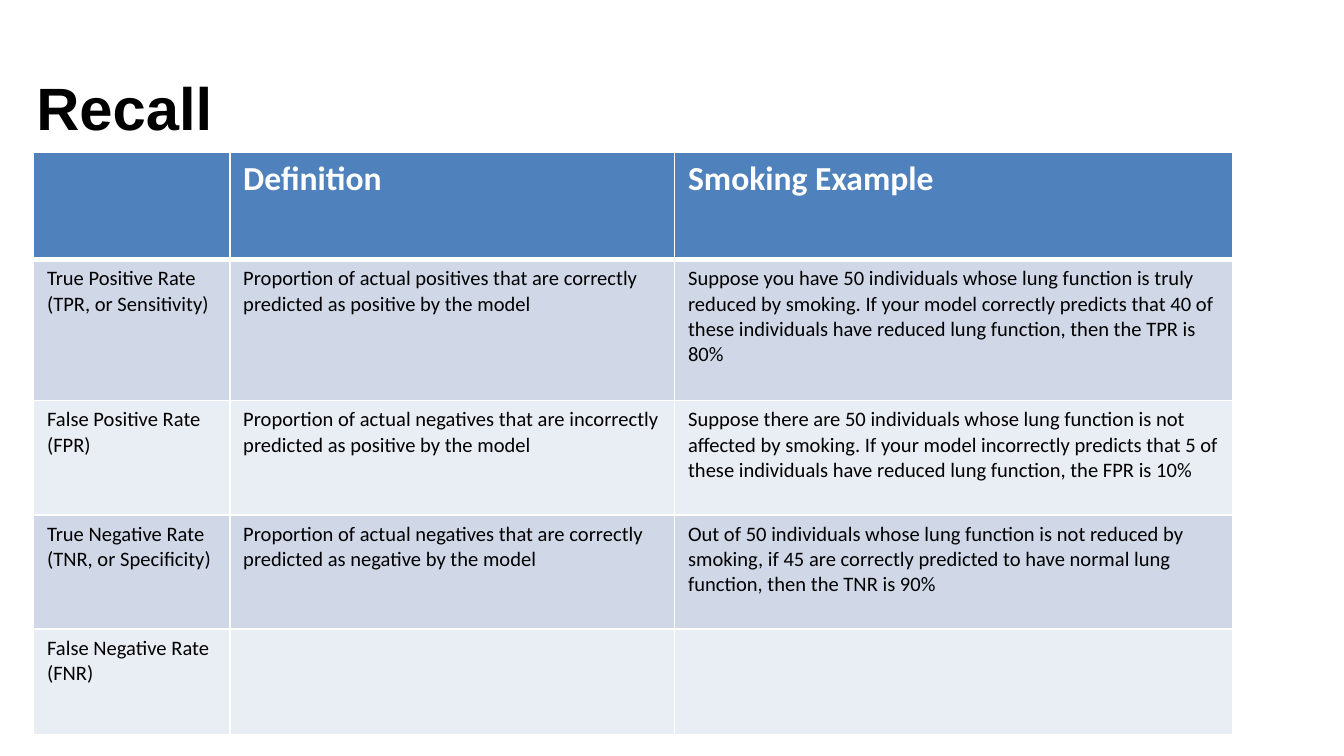
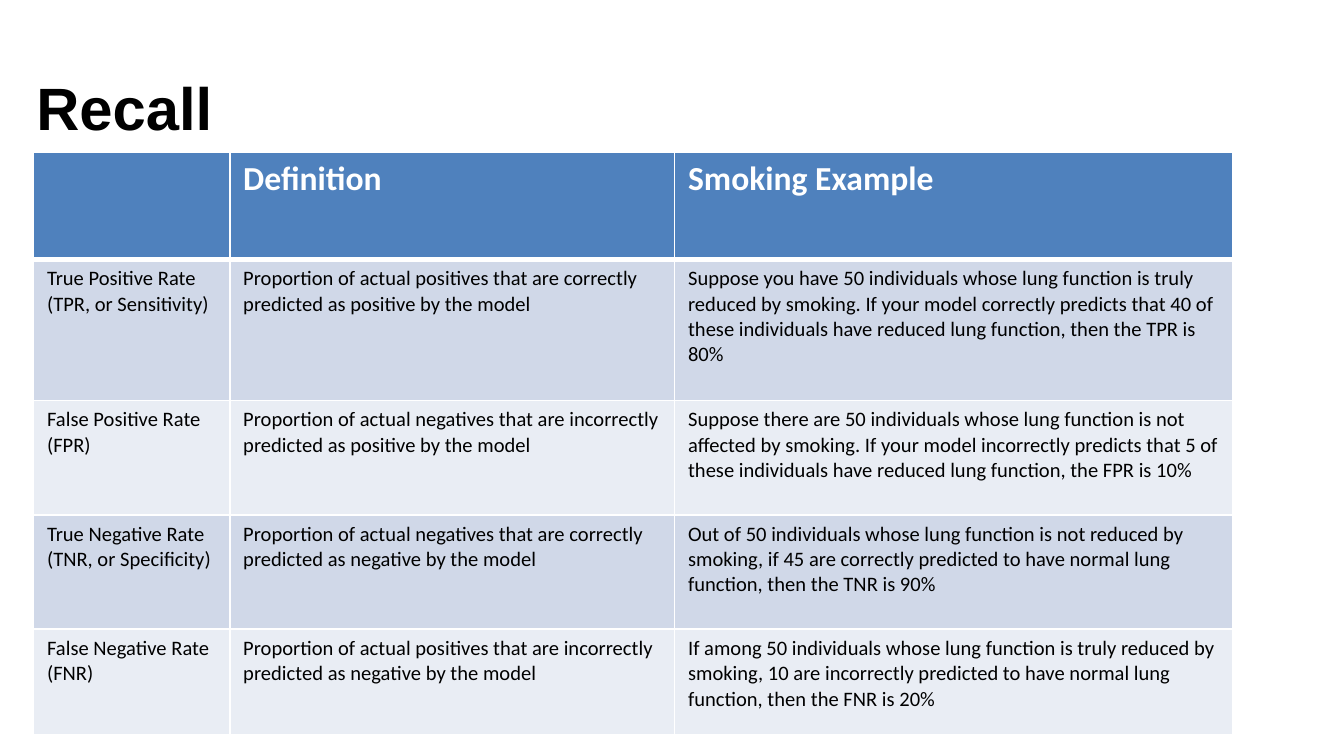
import pptx
import pptx.util
import pptx.dml.color
import pptx.enum.text
import pptx.oxml.ns
from lxml import etree

Inches = pptx.util.Inches
Pt = pptx.util.Pt

WHITE, BLACK = "FFFFFF", "000000"
HEADER_FILL = "4F81BD"
BAND_FILLS = ["D0D8E8", "E9EDF4"]
SLIDE_WIDTH = 10
SLIDE_HEIGHT = SLIDE_WIDTH * 9 / 16
TITLE_BOX = (0.17, 0.57, 9, 0.45)
TABLE_BOX = (0.25, 1.13, 8.92, 4.34)
COL_WIDTHS = [1.46, 3.31, 4.15]
ROW_HEIGHTS = [0.8, 1.05, 0.85, 0.85, 0.79]

HEADER = ["", "Definition", "Smoking Example"]
RATES = [
    ["True Positive Rate (TPR, or Sensitivity)",
     "Proportion of actual positives that are correctly predicted as positive by the model",
     "Suppose you have 50 individuals whose lung function is truly reduced by smoking. "
     "If your model correctly predicts that 40 of these individuals have reduced lung "
     "function, then the TPR is 80%"],
    ["False Positive Rate\n(FPR)",
     "Proportion of actual negatives that are incorrectly predicted as positive by the model",
     "Suppose there are 50 individuals whose lung function is not affected by smoking. "
     "If your model incorrectly predicts that 5 of these individuals have reduced lung "
     "function, the FPR is 10%"],
    ["True Negative Rate (TNR, or Specificity)",
     "Proportion of actual negatives that are correctly predicted as negative by the model",
     "Out of 50 individuals whose lung function is not reduced by smoking, if 45 are "
     "correctly predicted to have normal lung function, then the TNR is 90%"],
]
FNR_NAME = "False Negative Rate\n(FNR)"
FNR_BLANK = [FNR_NAME, "", ""]
FNR_FILLED = [
    FNR_NAME,
    "Proportion of actual positives that are incorrectly predicted as negative by the model",
    "If among 50 individuals whose lung function is truly reduced by smoking, 10 are "
    "incorrectly predicted to have normal lung function, then the FNR is 20%",
]


def rgb(value):
    return pptx.dml.color.RGBColor.from_string(value)


def set_text(tf, text, size=11, font="Calibri", color=BLACK, bold=False):
    for i, line in enumerate(text.split("\n")):
        p = tf.add_paragraph() if i else tf.paragraphs[0]
        p.alignment = pptx.enum.text.PP_ALIGN.LEFT
        if line:
            r = p.add_run()
            r.text = line
            r.font.size = Pt(size)
            r.font.name = font
            r.font.bold = bold
            r.font.color.rgb = rgb(color)


def set_borders(cell, top=1, bottom=1):
    qn = pptx.oxml.ns.qn
    tc_pr = cell._tc.get_or_add_tcPr()
    for side, width in [("L", 1), ("R", 1), ("T", top), ("B", bottom)]:
        ln = etree.SubElement(tc_pr, qn("a:ln" + side), w=str(Pt(width)))
        fill = etree.SubElement(ln, qn("a:solidFill"))
        etree.SubElement(fill, qn("a:srgbClr"), val=WHITE)


def add_title(s, text, box):
    sp = s.shapes.title
    sp.left, sp.top, sp.width, sp.height = map(Inches, box)
    tf = sp.text_frame
    tf.word_wrap = True
    tf.auto_size = pptx.enum.text.MSO_AUTO_SIZE.NONE
    tf.vertical_anchor = pptx.enum.text.MSO_ANCHOR.MIDDLE
    set_text(tf, text, size=32, font="Arial", bold=True)


def add_rate_table(s, rows, box):
    table = s.shapes.add_table(len(rows), len(COL_WIDTHS), *map(Inches, box)).table
    for col, width in zip(table.columns, COL_WIDTHS):
        col.width = Inches(width)
    for i, (row, height) in enumerate(zip(rows, ROW_HEIGHTS)):
        table.rows[i].height = Inches(height)
        header = i == 0
        for j, text in enumerate(row):
            cell = table.cell(i, j)
            set_borders(cell, top=3 if i == 1 else 1, bottom=3 if header else 1)
            cell.fill.solid()
            cell.fill.fore_color.rgb = rgb(HEADER_FILL if header else BAND_FILLS[(i - 1) % 2])
            if header:
                set_text(cell.text_frame, text, size=18, color=WHITE, bold=True)
            else:
                set_text(cell.text_frame, text)


def add_recall_slide(prs, last_row):
    s = prs.slides.add_slide(prs.slide_layouts[5])
    s.background.fill.solid()
    s.background.fill.fore_color.rgb = rgb(WHITE)
    add_title(s, "Recall", TITLE_BOX)
    add_rate_table(s, [HEADER, *RATES, last_row], TABLE_BOX)


def main():
    prs = pptx.Presentation()
    prs.slide_width, prs.slide_height = Inches(SLIDE_WIDTH), Inches(SLIDE_HEIGHT)
    for last_row in (FNR_BLANK, FNR_FILLED):
        add_recall_slide(prs, last_row)
    prs.save("out.pptx")


if __name__ == "__main__":
    main()
